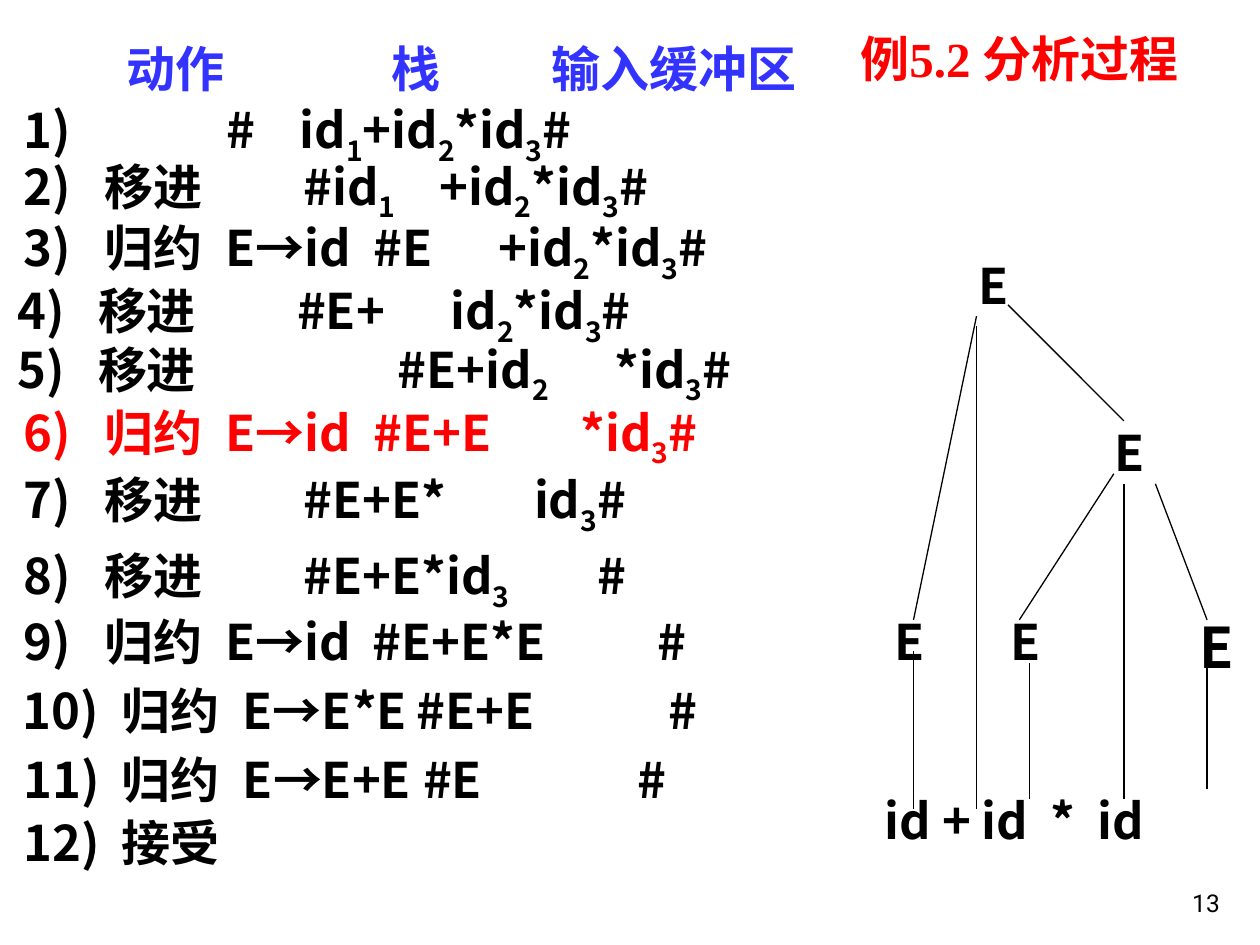
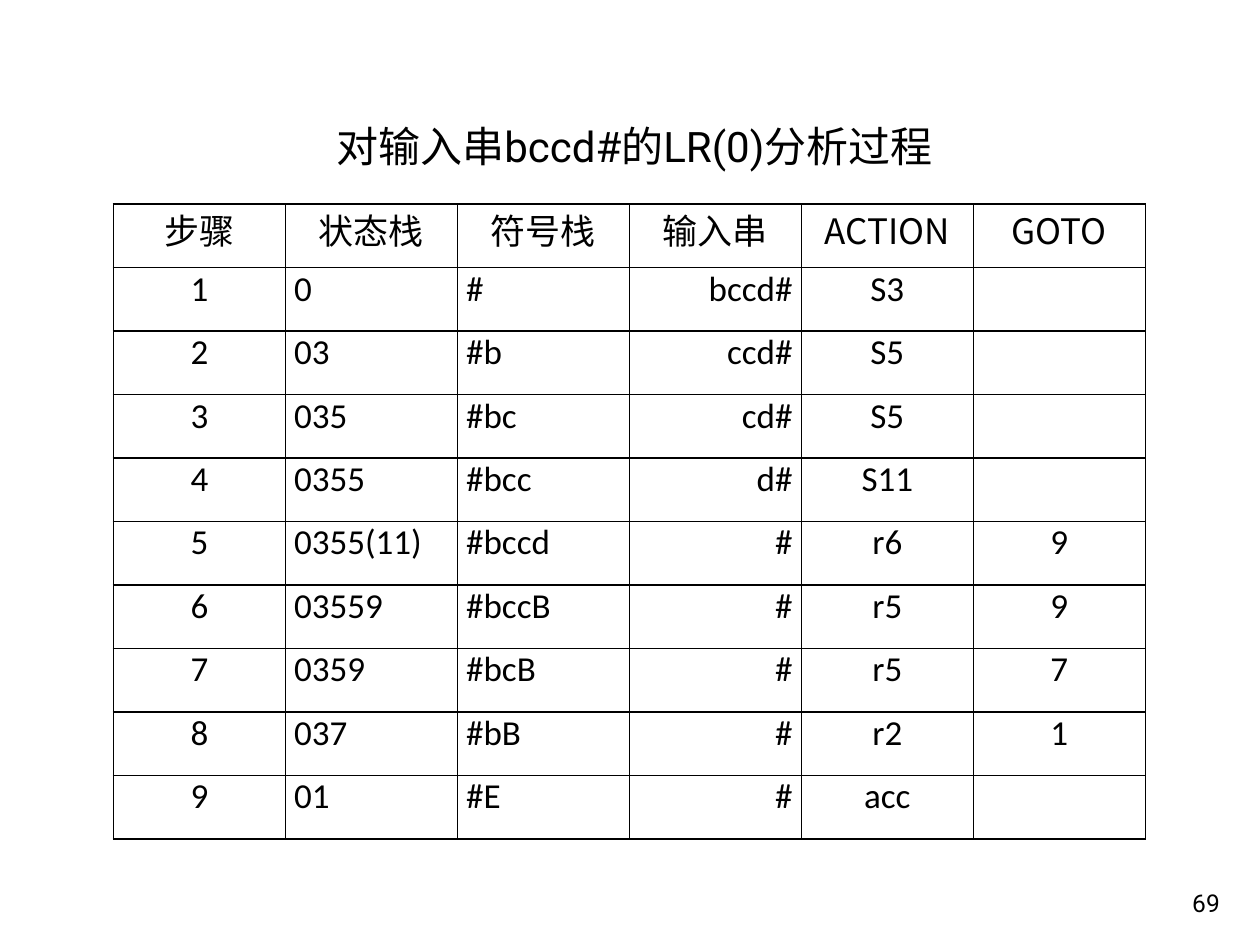
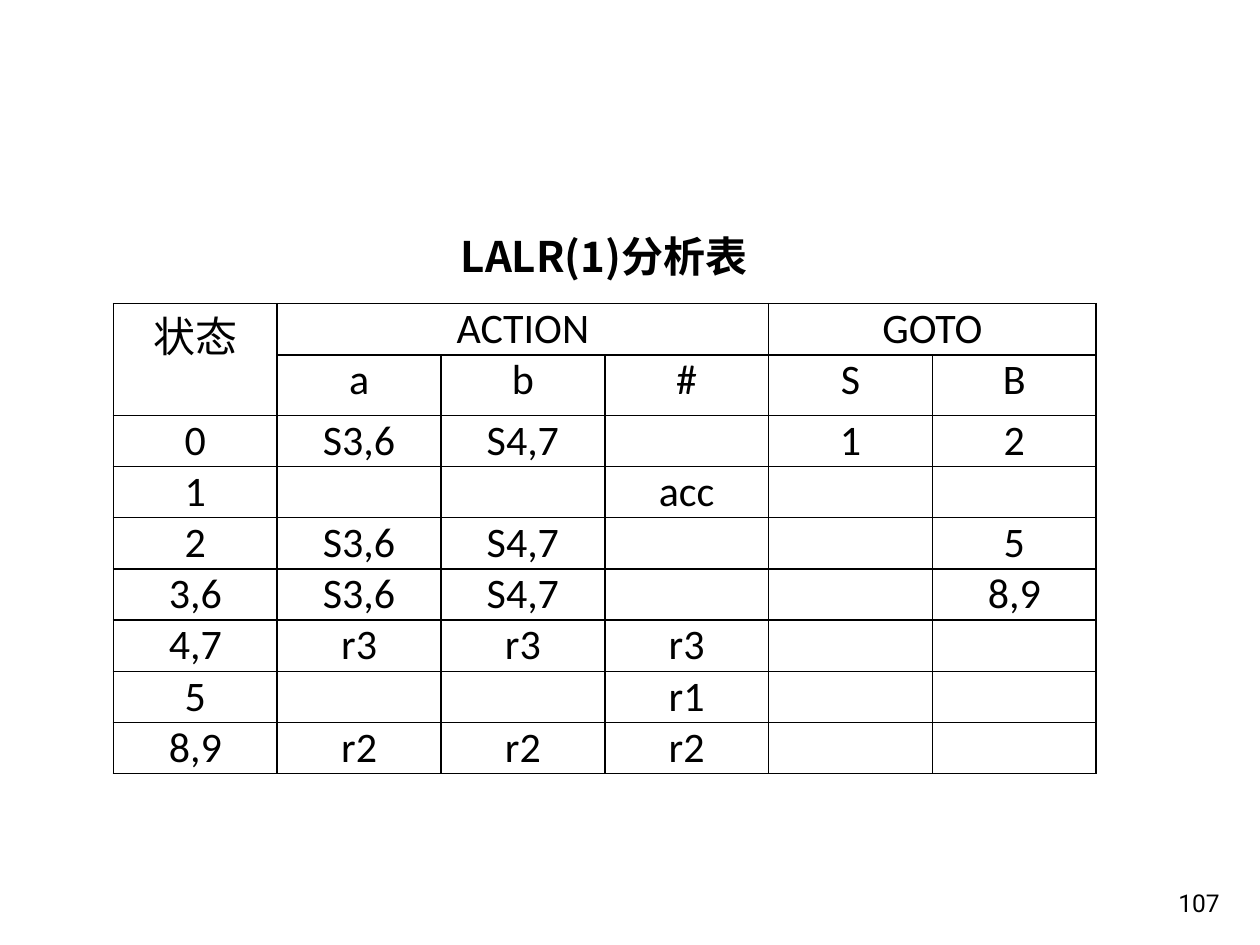
from pptx import Presentation
from pptx.dml.color import RGBColor
from pptx.enum.shapes import MSO_CONNECTOR
from pptx.enum.text import MSO_ANCHOR, MSO_AUTO_SIZE, PP_ALIGN
from pptx.oxml.ns import qn
from pptx.util import Inches, Pt
from lxml.etree import SubElement

COLORS = {"ink": "000000", "heading": "3333FF", "accent": "FF0000"}
SC, JP, ROBOTO = "Noto Sans CJK SC", "Noto Sans CJK JP", "Roboto"
TIMES, CALIBRI = "Times New Roman", "Calibri"
LEFT, CENTER, RIGHT, JUSTIFY = PP_ALIGN.LEFT, PP_ALIGN.CENTER, PP_ALIGN.RIGHT, PP_ALIGN.JUSTIFY
LINE_HEIGHT = {0.9: 0.52, 1.0: 0.57, 1.1: 0.6}

# Slide 1. Tabs part the columns; "_" lowers the next character.
# Each step: left, top, line spacing, tab stops, text.
STEPS = [
    (0.09, 0.75, 0.9, (1.61, 2.19), "1)\t#\tid_1+id_2*id_3#"),
    (0.09, 1.19, 1.0, (0.64, 2.22, 3.3), "2)\t移进\t#id_1\t+id_2*id_3#"),
    (0.09, 1.68, 1.0, (0.64, 1.6, 2.78, 3.77), "3)\t归约\tE→id\t#E\t+id_2*id_3#"),
    (0.04, 2.18, 1.0, (0.64, 2.22, 3.44), "4)\t移进\t#E+\tid_2*id_3#"),
    (0.04, 2.59, 1.1, (0.64, 3.02, 4.74), "5)\t移进\t#E+id_2\t*id_3#"),
    (0.09, 3.09, 1.1, (0.64, 1.6, 2.78, 4.42), "6)\t归约\tE→id\t#E+E\t*id_3#"),
    (0.09, 3.68, 1.0, (0.64, 2.22, 4.05), "7)\t移进\t#E+E*\tid_3#"),
    (0.09, 4.29, 0.9, (0.64, 2.22, 4.55), "8)\t移进\t#E+E*id_3\t#"),
    (0.09, 4.76, 1.1, (0.64, 1.6, 2.77, 5.03), "9)\t归约\tE→id\t#E+E*E\t#"),
    (0.08, 5.35, 1.0, (0.79, 1.75, 3.13, 5.13), "10)\t归约\tE→E*E\t#E+E\t#"),
    (0.09, 5.85, 1.1, (0.78, 1.74, 3.17, 4.87), "11)\t归约\tE→E+E\t#E\t#"),
    (0.09, 6.35, 1.1, (0.78,), "12)\t接受"),
]
CONFLICT_STEP = "6)"
# Tree nodes: left, top, text size. Tree edges: from x, y to x, y.
TREE_NODES = [(7, 4.76, 28), (7.92, 4.76, 28), (9.42, 4.76, 32), (8.75, 3.26, 28), (7.67, 1.93, 28)]
TREE_EDGES = [
    (7.25, 6.42, 7.25, 5.17), (8.17, 6.34, 8.17, 5.26), (9.58, 6.26, 9.58, 5.26),
    (9.58, 4.92, 9.17, 3.84), (8.92, 6.34, 8.92, 3.84), (8.09, 4.92, 8.84, 3.76),
    (7.25, 4.92, 7.75, 2.51), (7.75, 6.42, 7.75, 2.59), (8.92, 3.34, 8, 2.42),
]

LR0_HEADER = ["步骤", "状态栈", "符号栈", "输入串", "ACTION", "GOTO"]
LR0_ALIGN = [CENTER, JUSTIFY, JUSTIFY, RIGHT, CENTER, CENTER]
LR0_TRACE = [
    ["1", "0", "#", "bccd#", "S3", ""],
    ["2", "03", "#b", "ccd#", "S5", ""],
    ["3", "035", "#bc", "cd#", "S5", ""],
    ["4", "0355", "#bcc", "d#", "S11", ""],
    ["5", "0355(11)", "#bccd", "#", "r6", "9"],
    ["6", "03559", "#bccB", "#", "r5", "9"],
    ["7", "0359", "#bcB", "#", "r5", "7"],
    ["8", "037", "#bB", "#", "r2", "1"],
    ["9", "01", "#E", "#", "acc", ""],
]

LALR_ROWS = [
    ["状态", "ACTION", "", "", "GOTO", ""],
    ["", "a", "b", "#", "S", "B"],
    ["0", "S3,6", "S4,7", "", "1", "2"],
    ["1", "", "", "acc", "", ""],
    ["2", "S3,6", "S4,7", "", "", "5"],
    ["3,6", "S3,6", "S4,7", "", "", "8,9"],
    ["4,7", "r3", "r3", "r3", "", ""],
    ["5", "", "", "r1", "", ""],
    ["8,9", "r2", "r2", "r2", "", ""],
]
LALR_MERGES = [((0, 0), (1, 0)), ((0, 1), (0, 3)), ((0, 4), (0, 5))]
LALR_SYMBOL_ROW, LALR_SYMBOL_HEIGHT = 1, 0.48


def style(para, size, latin, color="ink", bold=False, align=LEFT):
    para.alignment = align
    font = para.font
    font.size, font.bold, font.name = Pt(size), bold, latin
    font.color.rgb = RGBColor.from_string(COLORS[color])
    east_asian = SubElement(font._element, qn("a:ea"))
    east_asian.set("typeface", JP)


def add_text(slide, at, text, size=28, latin=SC, color="ink", bold=True, align=LEFT,
             spacing=1.0, stops=(), wrap=True, grow=True, anchor=MSO_ANCHOR.TOP, box=None):
    """Write one line into a new text box, or into the box given."""
    left, top, width, height = map(Inches, at)
    if box is None:
        box = slide.shapes.add_textbox(left, top, width, height)
    box.left, box.top, box.width, box.height = left, top, width, height
    frame = box.text_frame
    frame.word_wrap, frame.vertical_anchor = wrap, anchor
    frame.auto_size = MSO_AUTO_SIZE.SHAPE_TO_FIT_TEXT if grow else MSO_AUTO_SIZE.NONE
    para = frame.paragraphs[0]
    para.line_spacing = spacing
    para.space_before = Pt(0)
    if stops:
        tabs = SubElement(para._p.get_or_add_pPr(), qn("a:tabLst"))
        for stop in stops:
            SubElement(tabs, qn("a:tab"), pos=str(Inches(stop)), algn="l")
    style(para, size, latin, color, bold, align)
    plain, *lowered = text.split("_")
    para.add_run().text = plain
    for part in lowered:
        subscript = para.add_run()
        subscript.text = part[0]
        subscript._r.get_or_add_rPr().set("baseline", "-25000")
        if part[1:]:
            para.add_run().text = part[1:]


def add_page(deck, number, title, at, **title_style):
    slide = deck.slides.add_slide(deck.slide_layouts[5])
    add_text(slide, at, title, box=slide.shapes.title, **title_style)
    add_text(slide, (7.7, 6.83, 2.08, 0.5), str(number), size=14, latin=ROBOTO,
             bold=False, align=RIGHT, grow=False, anchor=MSO_ANCHOR.BOTTOM)
    return slide


def add_edge(slide, ends):
    edge = slide.shapes.add_connector(MSO_CONNECTOR.STRAIGHT, *map(Inches, ends))
    edge.line.color.rgb = RGBColor.from_string(COLORS["ink"])
    edge.line.width = Pt(0.75)
    SubElement(edge._element.spPr, qn("a:effectLst"))


def rule_cell(cell):
    """Draw a thin line on all four sides of a cell."""
    properties = cell._tc.get_or_add_tcPr()
    for side in ("lnL", "lnR", "lnT", "lnB"):
        line = SubElement(properties, qn(f"a:{side}"), w=str(Pt(1)))
        fill = SubElement(line, qn("a:solidFill"))
        SubElement(fill, qn("a:srgbClr"), val=COLORS["ink"])


def add_grid(slide, at, rows, size, aligns, header_font=CALIBRI, merges=()):
    left, top, width, height = map(Inches, at)
    table = slide.shapes.add_table(len(rows), len(rows[0]), left, top, width, height).table
    table.first_row = table.horz_banding = False
    for r, row in enumerate(rows):
        for c, text in enumerate(row):
            cell = table.cell(r, c)
            rule_cell(cell)
            cell.fill.background()
            cell.margin_left = cell.margin_right = Inches(0.07)
            cell.margin_top = cell.margin_bottom = 0
            para = cell.text_frame.paragraphs[0]
            style(para, size, CALIBRI if r else header_font, align=aligns[c] if r else CENTER)
            if text:
                para.add_run().text = text
    for first, last in merges:
        table.cell(*first).merge(table.cell(*last))
    return table


def build_parse_slide(deck):
    slide = add_page(deck, 13, "例5.2 分析过程", (6.73, 0.13, 3.07, 0.61),
                     latin=TIMES, color="accent", spacing=1.1)
    add_text(slide, (0.91, 0.21, 6.06, 0.62), "动作\t栈\t输入缓冲区", latin=JP,
             color="heading", spacing=1.1, stops=(2.1, 3.37))
    for left, top, spacing, stops, text in STEPS:
        color = "accent" if text.startswith(CONFLICT_STEP) else "ink"
        add_text(slide, (left, top, 6.6, LINE_HEIGHT[spacing]), text,
                 color=color, spacing=spacing, stops=stops)
    add_text(slide, (6.92, 6.18, 2.97, 0.61), "id\t+\tid\t*\tid", spacing=1.1,
             stops=(0.46, 0.77, 1.32, 1.69))
    for ends in TREE_EDGES:
        add_edge(slide, ends)
    for left, top, size in TREE_NODES:
        add_text(slide, (left, top, 0.4, 0.61), "E", size=size, spacing=1.1, wrap=False)


def main():
    deck = Presentation()
    deck.slide_width, deck.slide_height = Inches(10), Inches(7.5)
    build_parse_slide(deck)

    slide = add_page(deck, 69, "对输入串bccd#的LR(0)分析过程", (1.45, 0.91, 7.17, 0.5),
                     size=24, latin=ROBOTO, bold=False, align=CENTER)
    add_grid(slide, (0.9, 1.62, 8.19, 5.04), [LR0_HEADER, *LR0_TRACE], 20, LR0_ALIGN,
             header_font=JP)

    slide = add_page(deck, 107, "LALR(1)分析表", (3.26, 1.78, 3.07, 0.5),
                     size=24, latin=JP, align=CENTER)
    table = add_grid(slide, (0.9, 2.41, 7.8, 3.66), LALR_ROWS, 24, [CENTER] * 6,
                     merges=LALR_MERGES)
    table.rows[LALR_SYMBOL_ROW].height = Inches(LALR_SYMBOL_HEIGHT)
    deck.save("out.pptx")


if __name__ == "__main__":
    main()
